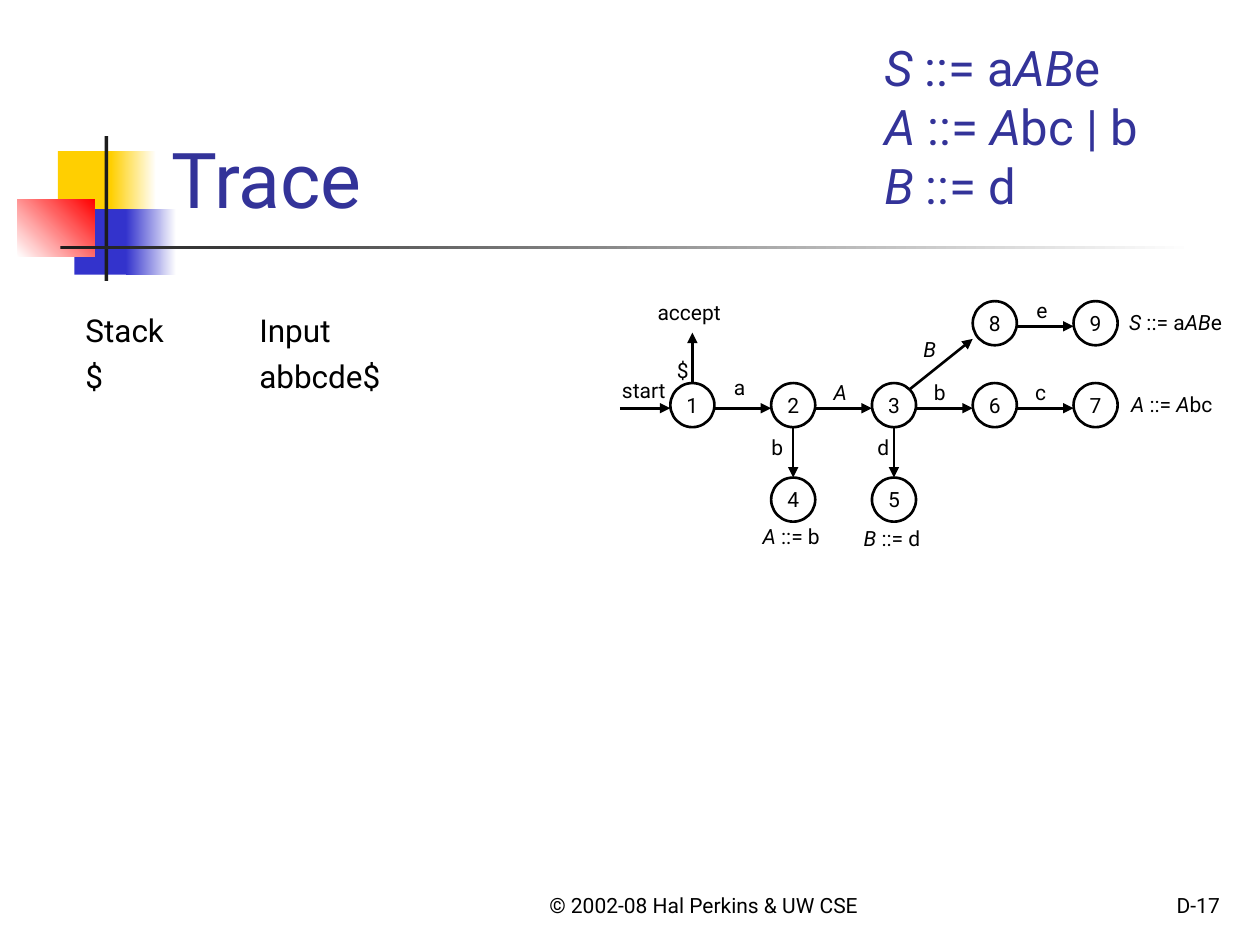
import itertools

import pptx
import pptx.dml.color
import pptx.enum.shapes
import pptx.enum.text
import pptx.oxml
import pptx.oxml.ns
import pptx.util

RGB = pptx.dml.color.RGBColor
ALIGN = pptx.enum.text.PP_ALIGN
ANCHOR = pptx.enum.text.MSO_ANCHOR
SHAPE = pptx.enum.shapes.MSO_SHAPE
inch = pptx.util.Inches

BLACK = RGB(0x00, 0x00, 0x00)
WHITE = RGB(0xFF, 0xFF, 0xFF)
INDIGO = RGB(0x33, 0x33, 0x99)
YELLOW = RGB(0xFF, 0xCF, 0x01)
BLUE = RGB(0x33, 0x33, 0xCC)
RED = RGB(0xFF, 0x00, 0x00)
CHARCOAL = RGB(0x1C, 0x1C, 0x1C)
FONT = "Roboto"

# Content: left, top, width, height, colours (two make a gradient), angle
ORNAMENT = [
    (0.46, 1.2, 0.48, 0.52, [YELLOW], 0),
    (0.88, 1.2, 0.36, 0.52, [YELLOW, WHITE], 0),
    (0.59, 1.66, 0.46, 0.52, [BLUE], 0),
    (1, 1.66, 0.4, 0.52, [BLUE, WHITE], 0),
    (0.14, 1.58, 0.61, 0.46, [WHITE, RED], 45),
    (0.83, 1.08, 0.03, 1.15, [CHARCOAL], 0),
    (0.48, 1.95, 9, 0.03, [CHARCOAL, WHITE], 0),
]
GRAMMAR = ["S ::= aABe", "A ::= Abc | b", "B ::= d"]
TRACE = ["Stack\t\tInput", "$\t\t\tabbcde$"]

# Automaton grid: state -> (column, row)
STATES = {
    "1": (0, 1), "2": (1, 1), "3": (2, 1), "6": (3, 1), "7": (4, 1),
    "4": (1, 2), "5": (2, 2), "8": (3, 0), "9": (4, 0),
}
ACROSS = [("1", "2"), ("2", "3"), ("3", "6"), ("6", "7"), ("8", "9")]
DOWN = [("2", "4"), ("3", "5")]
COL_X, COL_STEP, ROW_Y, SIZE = 5.32, 0.8, (2.39, 3.04, 3.79), 0.35
DROP = 0.2      # horizontal arrows run this far below a state's top
STUB = 0.4      # length of the start and accept arrows

# Labels: text, centre x, top
LABELS = [
    ("start", 5.11, 2.95), ("a", 5.87, 2.92), ("A", 6.67, 2.96),
    ("b", 7.46, 2.96), ("c", 8.26, 2.96), ("A ::= Abc", 9.3, 3.06),
    ("b", 6.17, 3.4), ("d", 7.01, 3.4), ("A ::= b", 6.28, 4.11),
    ("B ::= d", 7.08, 4.12), ("B", 7.38, 2.62), ("e", 8.27, 2.31),
    ("S ::= aABe", 9.33, 2.41), ("accept", 5.47, 2.33), ("$", 5.42, 2.79),
]

prs = pptx.Presentation()
prs.slide_width, prs.slide_height = inch(10), inch(7.5)
s = prs.slides.add_slide(prs.slide_layouts[6])


def write(sp, lines, size, color=BLACK, align=ALIGN.LEFT, anchor=ANCHOR.TOP,
          wrap=True, grammar=False):
    """Fill a shape with lines; in grammar text the nonterminals are italic."""
    tf = sp.text_frame
    tf.word_wrap, tf.vertical_anchor = wrap, anchor
    for i, line in enumerate(lines):
        p = tf.paragraphs[0] if i == 0 else tf.add_paragraph()
        p.alignment = align
        pieces = itertools.groupby(line, str.isupper) if grammar else [(False, line)]
        for italic, chars in pieces:
            r = p.add_run()
            r.text = "".join(chars)
            r.font.name, r.font.size = FONT, pptx.util.Pt(size)
            r.font.italic, r.font.color.rgb = italic, color
    return tf


def text(left, top, width, height, lines, size, **style):
    box = s.shapes.add_textbox(*map(inch, (left, top, width, height)))
    return write(box, lines, size, **style)


def arrow(x1, y1, x2, y2):
    line = s.shapes.add_connector(pptx.enum.shapes.MSO_CONNECTOR.STRAIGHT,
                                  *map(inch, (x1, y1, x2, y2)))
    line.line.color.rgb, line.line.width = BLACK, pptx.util.Pt(1.5)
    ln = line.line._get_or_add_ln()
    ln.append(pptx.oxml.parse_xml(
        '<a:tailEnd %s type="triangle"/>' % pptx.oxml.ns.nsdecls("a")))
    ln.addnext(pptx.oxml.parse_xml(
        "<a:effectLst %s/>" % pptx.oxml.ns.nsdecls("a")))


def corner(state):
    col, row = STATES[state]
    return COL_X + col * COL_STEP, ROW_Y[row]


# Corner ornament and rule under the title
for *box, colors, angle in ORNAMENT:
    sp = s.shapes.add_shape(SHAPE.RECTANGLE, *map(inch, box))
    sp.shadow.inherit = False
    sp.line.fill.background()
    if len(colors) == 1:
        sp.fill.solid()
        sp.fill.fore_color.rgb = colors[0]
    else:
        sp.fill.gradient()
        sp.fill.gradient_angle = angle
        for stop, color, position in zip(sp.fill.gradient_stops, colors, (0, 1)):
            stop.color.rgb, stop.position = color, position

# Footer, title and grammar
text(4, 6.83, 3.17, 0.5, ["© 2002-08 Hal Perkins & UW CSE"], 12,
     align=ALIGN.CENTER, anchor=ANCHOR.BOTTOM)
text(7.7, 6.83, 2.08, 0.5, ["D-17"], 12, align=ALIGN.RIGHT, anchor=ANCHOR.BOTTOM)
text(1.26, 0.23, 8.52, 1.6, ["Trace"], 44, color=INDIGO, anchor=ANCHOR.BOTTOM)
text(6.92, 0.25, 2.5, 1.5, GRAMMAR, 28, color=INDIGO, grammar=True)

# Stack and input columns, set by one-inch tab stops
tf = text(0.58, 2.42, 4.17, 4.5, TRACE, 18)
for p in tf.paragraphs:
    pPr = p._p.get_or_add_pPr()
    pPr.set("marL", str(inch(0.38)))
    pPr.set("indent", str(-inch(0.38)))
    stops = "".join('<a:tab pos="%d" algn="l"/>' % inch(i) for i in range(8))
    pPr.append(pptx.oxml.parse_xml(
        "<a:tabLst %s>%s</a:tabLst>" % (pptx.oxml.ns.nsdecls("a"), stops)))
tf.paragraphs[1].space_before = pptx.util.Pt(4.5)

# Automaton states
for state in STATES:
    sp = s.shapes.add_shape(SHAPE.OVAL, *map(inch, (*corner(state), SIZE, SIZE)))
    sp.shadow.inherit = False
    sp.fill.background()
    sp.line.color.rgb, sp.line.width = BLACK, pptx.util.Pt(1.5)
    write(sp, [state], 12, align=ALIGN.CENTER, anchor=ANCHOR.MIDDLE, wrap=False)

# Transitions
for a, b in ACROSS:
    (x1, y), (x2, _) = corner(a), corner(b)
    arrow(x1 + SIZE, y + DROP, x2, y + DROP)
for a, b in DOWN:
    (x, y1), (_, y2) = corner(a), corner(b)
    arrow(x + SIZE / 2, y1 + SIZE, x + SIZE / 2, y2)
x, y = corner("1")
arrow(x - STUB, y + DROP, x, y + DROP)
arrow(x + SIZE / 2, y, x + SIZE / 2, y - STUB)
(x1, y1), (x2, y2) = corner("3"), corner("8")
arrow(x1 + 0.3, y1 + 0.05, x2, y2 + 0.3)

# Transition labels and reductions
for label, center, top in LABELS:
    text(center - 0.5, top, 1, 0.3, [label], 12, align=ALIGN.CENTER,
         wrap=False, grammar=True)

prs.save("out.pptx")
